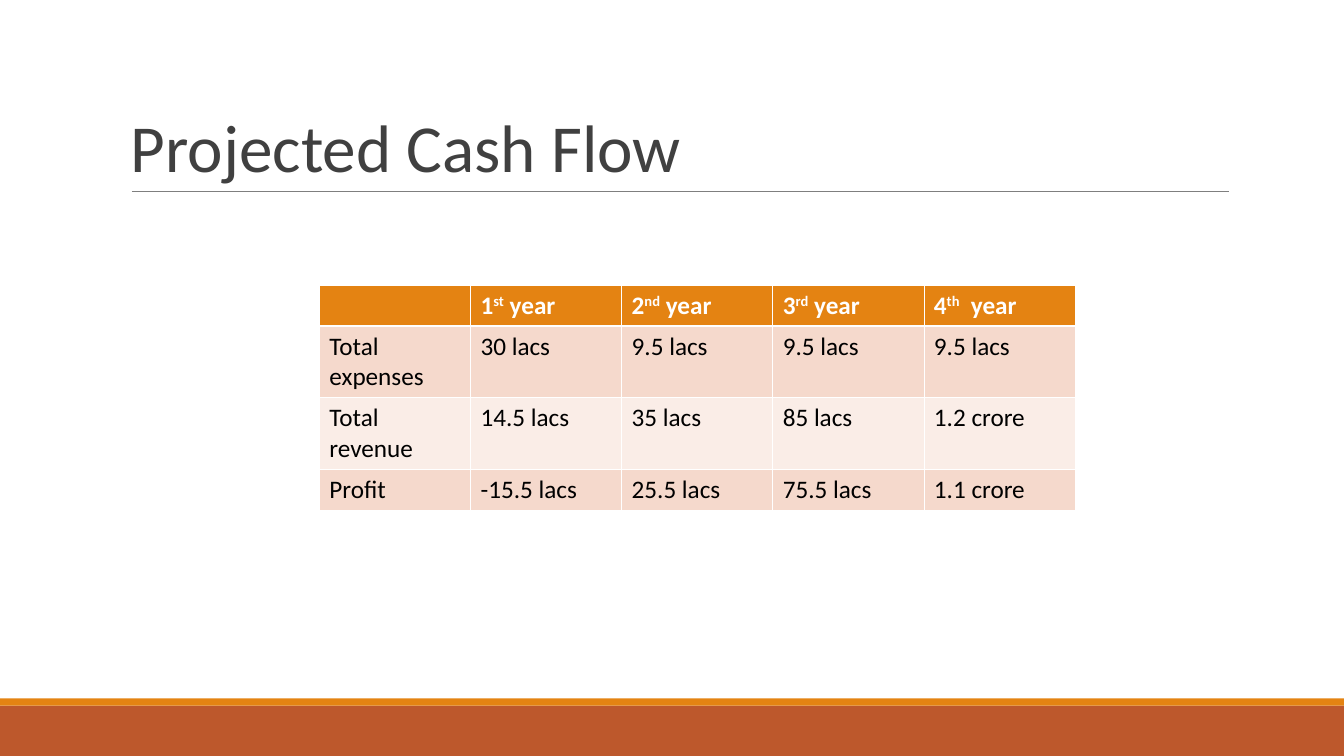
from lxml.etree import SubElement
from pptx import Presentation
from pptx.dml.color import RGBColor
from pptx.enum.shapes import MSO_CONNECTOR, MSO_SHAPE
from pptx.enum.text import MSO_ANCHOR, MSO_AUTO_SIZE, PP_ALIGN
from pptx.oxml import parse_xml
from pptx.oxml.ns import nsdecls, qn
from pptx.util import Inches, Pt

FONT = "Calibri"
WHITE = RGBColor(0xFF, 0xFF, 0xFF)
BLACK = RGBColor(0x00, 0x00, 0x00)
TITLE_GREY = RGBColor(0x40, 0x40, 0x40)
RULE_GREY = RGBColor(0x7F, 0x7F, 0x7F)
ORANGE = RGBColor(0xE4, 0x83, 0x12)
RUST = RGBColor(0xBD, 0x58, 0x2C)
BANDS = [RGBColor(0xF5, 0xD9, 0xCC), RGBColor(0xFA, 0xED, 0xE7)]

YEARS = [("1", "st", " year"), ("2", "nd", " year"),
         ("3", "rd", " year"), ("4", "th", "  year")]
CASH_FLOW = [
    ["Total expenses", "30 lacs", "9.5 lacs", "9.5 lacs", "9.5 lacs"],
    ["Total revenue", "14.5 lacs", "35 lacs", "85 lacs", "1.2 crore"],
    ["Profit", "-15.5 lacs", "25.5 lacs", "75.5 lacs", "1.1 crore"],
]
ROW_HEIGHTS = [0.4, 0.71, 0.71, 0.4]
THIN, THICK = 0.45, 1.47


def style_run(r, size, color, bold=False):
    r.font.name = FONT
    r.font.size = Pt(size)
    r.font.bold = bold
    r.font.color.rgb = color


def add_footer_bands(s, width, height):
    for top, band_height, color in [(7, 0.5, RUST), (6.93, 0.07, ORANGE)]:
        band = s.shapes.add_shape(MSO_SHAPE.RECTANGLE, 0, Inches(top),
                                  width, Inches(band_height))
        band.shadow.inherit = False
        band.fill.solid()
        band.fill.fore_color.rgb = color
        band.line.fill.background()


def add_title(s, text, left, top, width, height):
    """Fill the title placeholder and underline it with a thin rule."""
    title = s.shapes.title
    title.left, title.top = Inches(left), Inches(top)
    title.width, title.height = Inches(width), Inches(height)
    tf = title.text_frame
    tf.text = text
    tf.word_wrap = True
    tf.auto_size = MSO_AUTO_SIZE.NONE
    tf.vertical_anchor = MSO_ANCHOR.BOTTOM
    p = tf.paragraphs[0]
    p.alignment = PP_ALIGN.LEFT
    p.line_spacing = 0.85
    style_run(p.runs[0], 48, TITLE_GREY)

    bottom = Inches(top + height)
    rule = s.shapes.add_connector(MSO_CONNECTOR.STRAIGHT, Inches(left + 0.11),
                                  bottom, Inches(left + width), bottom)
    rule.line.color.rgb = RULE_GREY
    rule.line.width = Pt(0.5)
    SubElement(rule._element.spPr, qn("a:effectLst"))


def set_borders(cell, top, bottom):
    """Draw white borders; the side borders are always thin."""
    tc_pr = cell._tc.get_or_add_tcPr()
    sides = [("lnL", THIN), ("lnR", THIN), ("lnT", top), ("lnB", bottom)]
    for i, (side, points) in enumerate(sides):
        tc_pr.insert(i, parse_xml(
            f'<a:{side} {nsdecls("a")} w="{Pt(points)}"><a:solidFill>'
            f'<a:srgbClr val="{WHITE}"/></a:solidFill></a:{side}>'))


def fill_cell(cell, parts, row):
    """Write (base, superscript, rest) parts and style them for the row."""
    header = row == 0
    cell.fill.solid()
    cell.fill.fore_color.rgb = ORANGE if header else BANDS[(row - 1) % 2]
    set_borders(cell, THICK if row == 1 else THIN, THICK if header else THIN)
    p = cell.text_frame.paragraphs[0]
    for i, part in enumerate(parts):
        r = p.add_run()
        r.text = part
        style_run(r, 18, WHITE if header else BLACK, header)
        if i == 1:
            r.font._element.set("baseline", "30000")


def add_cash_flow_table(s, left, top, width):
    rows = [[()] + YEARS] + [[(text,) for text in row] for row in CASH_FLOW]
    table = s.shapes.add_table(len(rows), len(rows[0]), Inches(left), Inches(top),
                               Inches(width), Inches(sum(ROW_HEIGHTS))).table
    for row, height in zip(table.rows, ROW_HEIGHTS):
        row.height = Inches(height)
    for i, row in enumerate(rows):
        for j, parts in enumerate(row):
            fill_cell(table.cell(i, j), parts, i)


def main():
    prs = Presentation()
    prs.slide_width, prs.slide_height = Inches(13.34), Inches(7.5)
    s = prs.slides.add_slide(prs.slide_layouts[5])
    add_footer_bands(s, prs.slide_width, prs.slide_height)
    add_title(s, "Projected Cash Flow", 1.2, 0.31, 11, 1.59)
    add_cash_flow_table(s, 3.17, 2.83, 7.5)
    prs.save("out.pptx")


if __name__ == "__main__":
    main()
